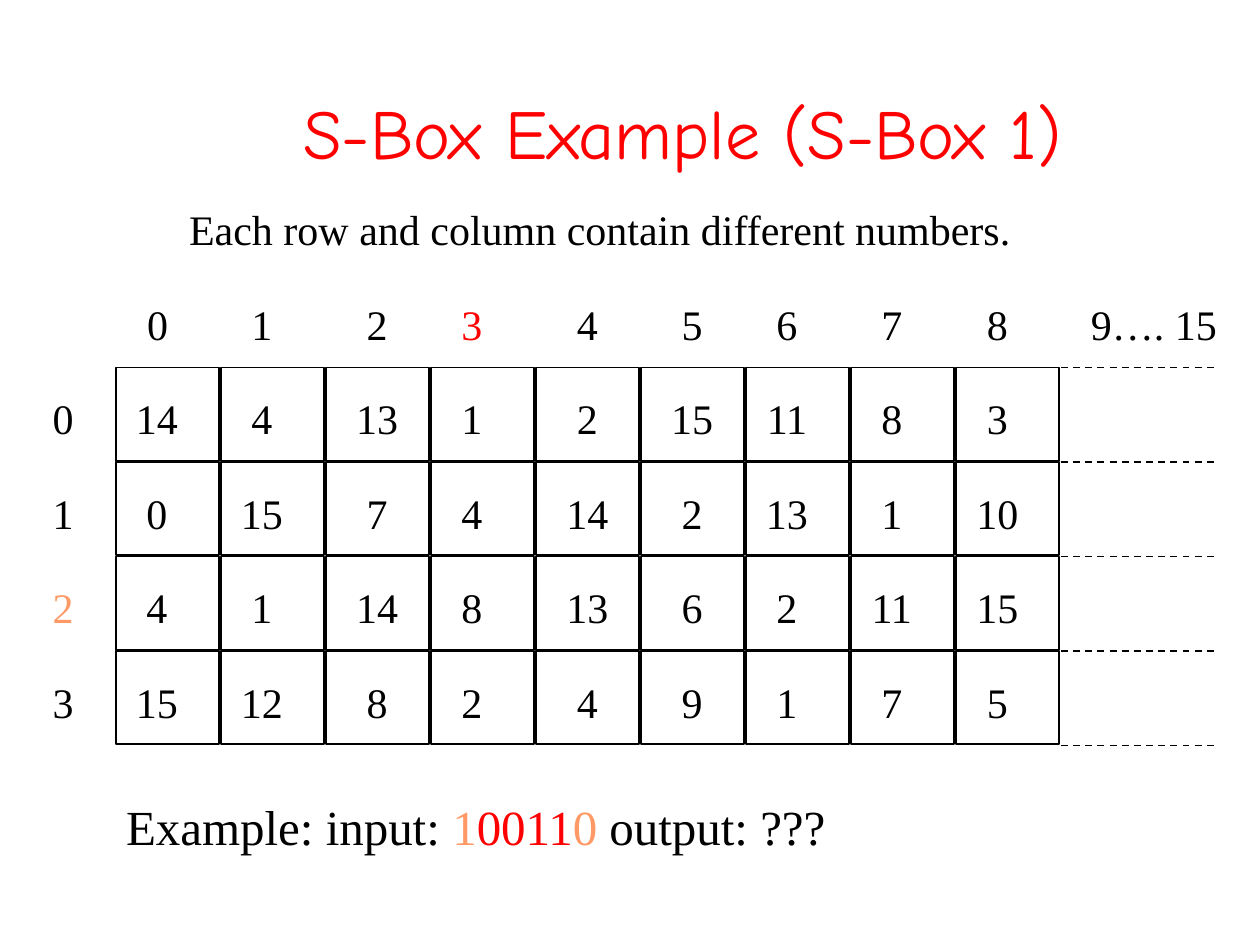
from typing import NamedTuple

from lxml.etree import SubElement
from pptx import Presentation
from pptx.dml.color import RGBColor
from pptx.enum.dml import MSO_LINE
from pptx.enum.shapes import MSO_CONNECTOR, MSO_SHAPE
from pptx.enum.text import MSO_ANCHOR, PP_ALIGN
from pptx.oxml.ns import qn
from pptx.util import Pt

BLACK, RED, ORANGE = "000000", "FF0000", "FF9966"
SERIF, COMIC = "Times New Roman", "Comic Neue"
INSET = 7.2

GRID_LEFT, GRID_TOP = 66.3, 210
COL_STEP, ROW_STEP = 60, 54
CELL_W, CELL_H = 59, 53.3
ROW_LABEL_LEFT, HEADER_LEFT = 23, 77

# Centres of the number columns, and of the closing "9…. 15" heading
COLUMN_CENTRES = [89.7, 149.7, 215.6, 269.8, 335.8, 395.6, 449.8, 509.7, 570]
LAST_HEADING_CENTRE = 659.5

S_BOX = [
    [14, 4, 13, 1, 2, 15, 11, 8, 3],
    [0, 15, 7, 4, 14, 2, 13, 1, 10],
    [4, 1, 14, 8, 13, 6, 2, 11, 15],
    [15, 12, 8, 2, 4, 9, 1, 7, 5],
]
CHOSEN_ROW, CHOSEN_COLUMN = 2, 3


class Span(NamedTuple):
    text: str
    color: str = BLACK


class TextLine(NamedTuple):
    left: float
    top: float
    width: float
    spans: list[Span]
    size: float = 24
    centres: tuple[float, ...] = ()


def rgb(color: str) -> RGBColor:
    return RGBColor.from_string(color)


def add_run(p, span: Span, size: float, font: str) -> None:
    r = p.add_run()
    r.text = span.text
    r.font.size = Pt(size)
    r.font.name = font
    r.font.color.rgb = rgb(span.color)


def set_centre_tabs(p, positions: list[float]) -> None:
    tabs = SubElement(p._p.get_or_add_pPr(), qn("a:tabLst"))
    for position in positions:
        SubElement(tabs, qn("a:tab"), pos=str(int(Pt(position))), algn="ctr")


def add_text(slide, line: TextLine) -> None:
    height = line.size * 1.2 + 7.2
    sp = slide.shapes.add_textbox(Pt(line.left), Pt(line.top), Pt(line.width), Pt(height))
    tf = sp.text_frame
    tf.word_wrap = True
    p = tf.paragraphs[0]
    if line.centres:
        set_centre_tabs(p, [c - line.left - INSET for c in line.centres])
    for span in line.spans:
        add_run(p, span, line.size, SERIF)


def add_title(slide, span: Span) -> None:
    sp = slide.shapes.title
    sp.left, sp.top, sp.width, sp.height = Pt(84), Pt(30), Pt(612), Pt(90)
    sp.text_frame.vertical_anchor = MSO_ANCHOR.MIDDLE
    p = sp.text_frame.paragraphs[0]
    p.alignment = PP_ALIGN.CENTER
    p.space_before, p.space_after = Pt(12), Pt(3)
    add_run(p, span, 40, COMIC)


def add_cell(slide, row: int, col: int) -> None:
    sp = slide.shapes.add_shape(
        MSO_SHAPE.RECTANGLE,
        Pt(GRID_LEFT + col * COL_STEP), Pt(GRID_TOP + row * ROW_STEP),
        Pt(CELL_W), Pt(CELL_H),
    )
    sp.shadow.inherit = False
    sp.fill.background()
    sp.line.color.rgb = rgb(BLACK)
    sp.line.width = Pt(1)


def add_dashed_line(slide, y: float) -> None:
    left = GRID_LEFT + len(COLUMN_CENTRES) * COL_STEP
    line = slide.shapes.add_connector(
        MSO_CONNECTOR.STRAIGHT, Pt(left), Pt(y), Pt(left + 90), Pt(y))
    SubElement(line._element.spPr, qn("a:effectLst"))
    line.line.color.rgb = rgb(BLACK)
    line.line.width = Pt(1)
    line.line.dash_style = MSO_LINE.DASH


def header_line() -> TextLine:
    spans = [Span("0")]
    for col in range(1, len(COLUMN_CENTRES)):
        spans.append(Span(f"\t{col}", RED if col == CHOSEN_COLUMN else BLACK))
    spans.append(Span("\t9…. 15"))
    return TextLine(HEADER_LEFT, 167, 635, spans,
                    centres=(*COLUMN_CENTRES[1:], LAST_HEADING_CENTRE))


def row_line(row: int) -> TextLine:
    label = Span(str(row), ORANGE if row == CHOSEN_ROW else BLACK)
    numbers = Span("".join(f"\t{n}" for n in S_BOX[row]))
    return TextLine(ROW_LABEL_LEFT, 221 + row * ROW_STEP, 575, [label, numbers],
                    centres=tuple(COLUMN_CENTRES))


def main() -> None:
    prs = Presentation()
    prs.slide_width, prs.slide_height = Pt(720), Pt(540)
    slide = prs.slides.add_slide(prs.slide_layouts[5])

    add_title(slide, Span("S-Box Example (S-Box 1)", RED))
    for col in range(len(COLUMN_CENTRES)):
        for row in range(len(S_BOX)):
            add_cell(slide, row, col)
    for edge in range(len(S_BOX) + 1):
        add_dashed_line(slide, GRID_TOP + edge * ROW_STEP)

    add_text(slide, header_line())
    for row in range(len(S_BOX)):
        add_text(slide, row_line(row))
    add_text(slide, TextLine(
        101, 113, 490, [Span("Each row and column contain different numbers.")]))
    add_text(slide, TextLine(65, 451.5, 420, [
        Span("Example: input: "), Span("1", ORANGE), Span("0011", RED),
        Span("0", ORANGE), Span(" output: ???"),
    ], size=28))
    prs.save("out.pptx")


if __name__ == "__main__":
    main()
